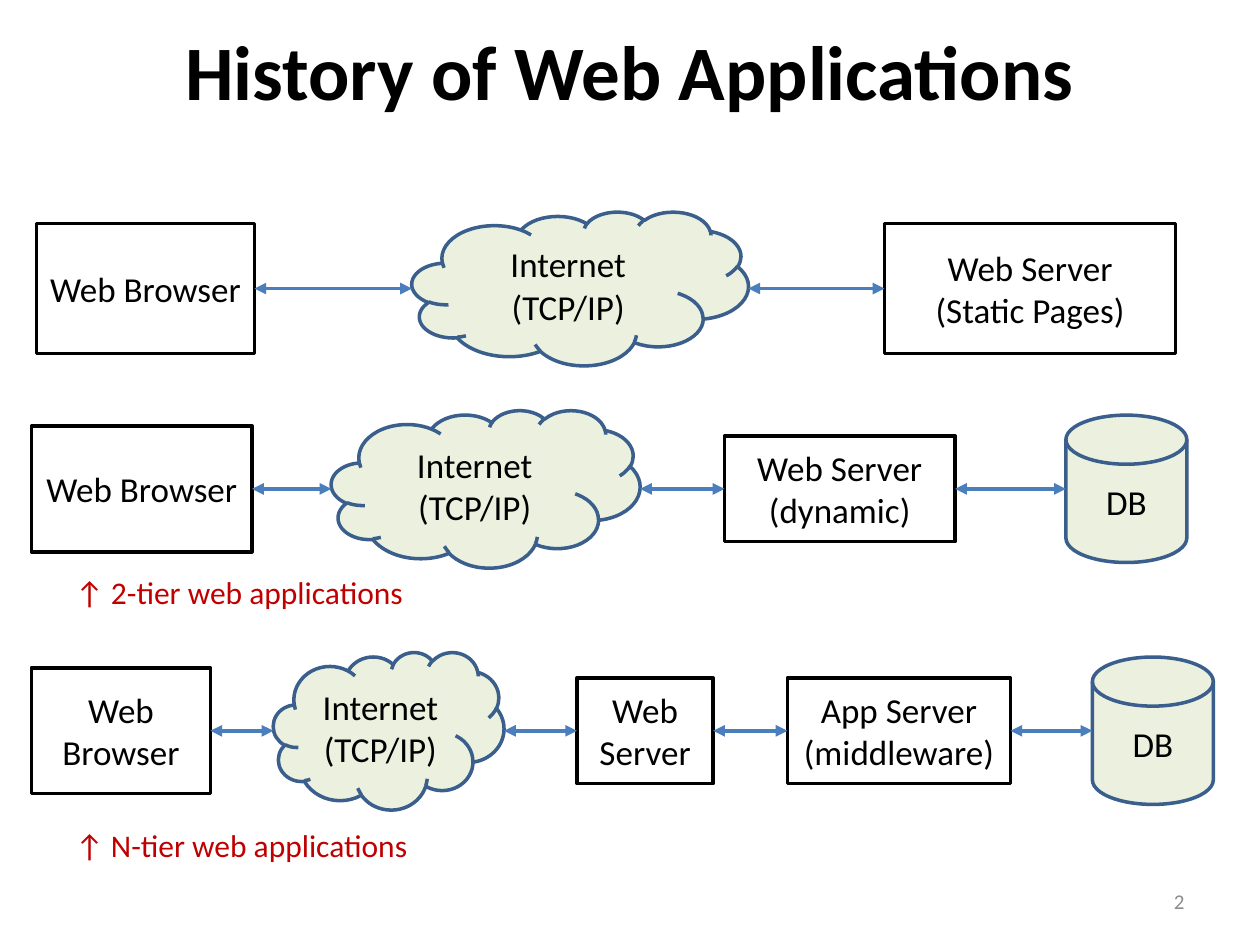
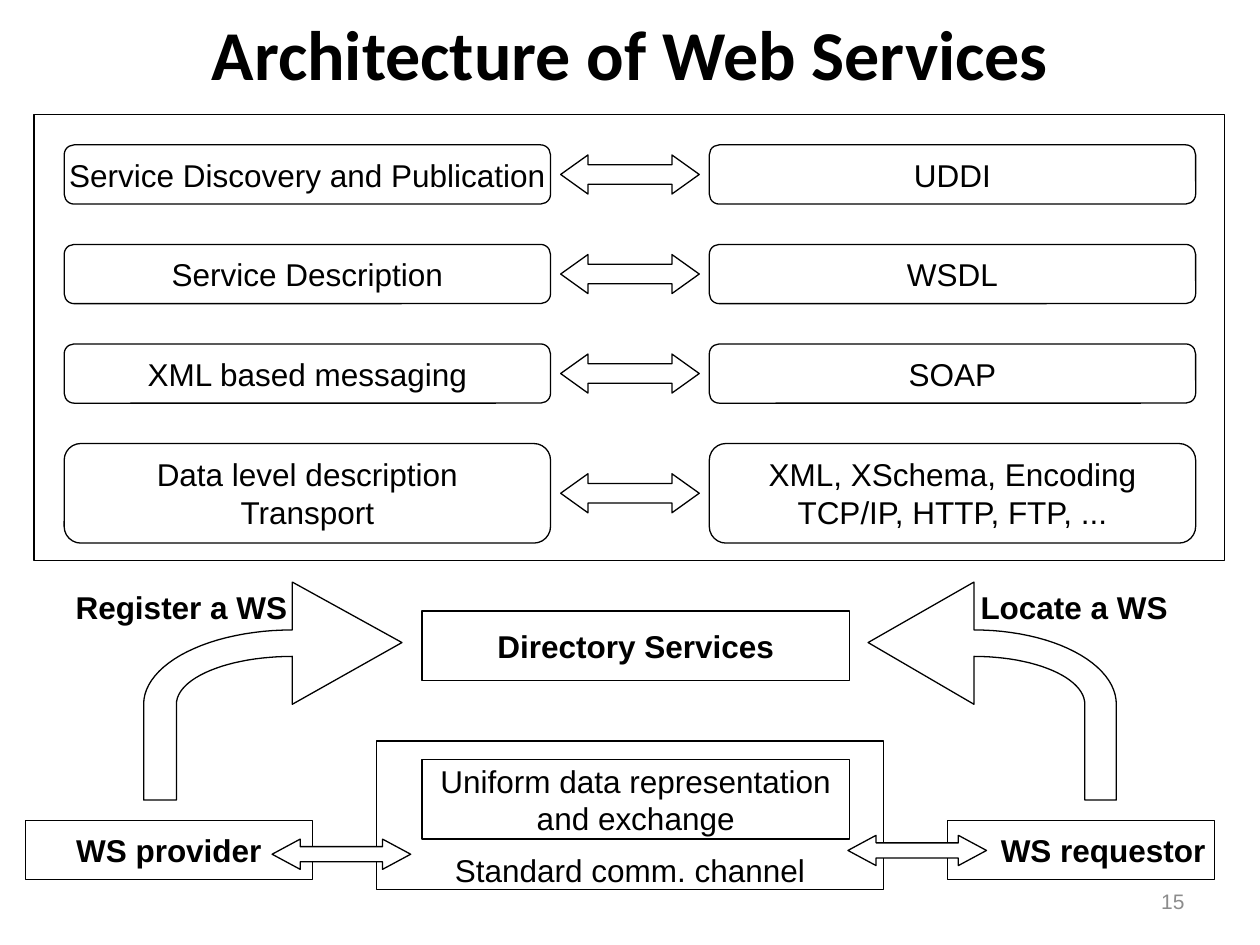
import math

from lxml import etree
from pptx import Presentation
from pptx.dml.color import RGBColor
from pptx.enum.shapes import MSO_CONNECTOR, MSO_SHAPE
from pptx.enum.text import MSO_ANCHOR, MSO_AUTO_SIZE, PP_ALIGN
from pptx.oxml.ns import qn
from pptx.util import Inches, Pt

RECT = MSO_SHAPE.RECTANGLE
ROUND = MSO_SHAPE.ROUNDED_RECTANGLE
CLOUD = MSO_SHAPE.CLOUD
DISK = MSO_SHAPE.FLOWCHART_MAGNETIC_DISK
DOUBLE_ARROW = MSO_SHAPE.LEFT_RIGHT_ARROW
STRAIGHT = MSO_CONNECTOR.STRAIGHT
LEFT, CENTER, RIGHT = PP_ALIGN.LEFT, PP_ALIGN.CENTER, PP_ALIGN.RIGHT
TOP, MIDDLE, BOTTOM = MSO_ANCHOR.TOP, MSO_ANCHOR.MIDDLE, MSO_ANCHOR.BOTTOM

BLACK, WHITE = "000000", "FFFFFF"
PALE_GREEN, OUTLINE_BLUE, ARROW_BLUE = "EBF1DE", "3A5F8C", "4B7EBC"
RED, GREY = "C00000", "8C8C8C"
TITLE_ONLY = 5

# Each tier row: vertical centre, then (shape, text, left, width, height)
TIER_ROWS = [
    (2.29, [(RECT, "Web Browser", 0.29, 1.73, 1.03),
            (CLOUD, "Internet\n(TCP/IP)", 3.27, 2.67, 1.22),
            (RECT, "Web Server\n(Static Pages)", 7.02, 2.31, 1.03)]),
    (3.88, [(RECT, "Web Browser", 0.25, 1.75, 1),
            (CLOUD, "Internet\n(TCP/IP)", 2.63, 2.45, 1.25),
            (RECT, "Web Server\n(dynamic)", 5.75, 1.83, 0.84),
            (DISK, "DB", 8.46, 0.96, 1.17)]),
    (5.8, [(RECT, "Web Browser", 0.25, 1.42, 1),
           (CLOUD, "Internet\n(TCP/IP)", 2.17, 1.83, 1.25),
           (RECT, "Web Server", 4.58, 1.08, 0.84),
           (RECT, "App Server (middleware)", 6.25, 1.77, 0.84),
           (DISK, "DB", 8.67, 0.96, 1.17)]),
]

LAYERS = [
    ("Service Discovery and Publication", "UDDI", 0.47),
    ("Service Description", "WSDL", 0.47),
    ("XML based messaging", "SOAP", 0.47),
    ("Data level description\nTransport",
     "XML, XSchema, Encoding\nTCP/IP, HTTP, FTP, ...", 0.79),
]


def color(value):
    return RGBColor.from_string(value)


def write_text(frame, text, size=18, font="Arial", ink=BLACK, bold=False,
               align=CENTER, anchor=MIDDLE, wrap=True):
    """Fill a text frame, one paragraph per line of text."""
    frame.auto_size = MSO_AUTO_SIZE.NONE
    frame.word_wrap = wrap
    frame.vertical_anchor = anchor
    for index, line in enumerate(text.split("\n")):
        para = frame.paragraphs[0] if index == 0 else frame.add_paragraph()
        para.alignment = align
        span = para.add_run()
        span.text = line
        span.font.size = Pt(size)
        span.font.name = font
        span.font.bold = bold
        span.font.color.rgb = color(ink)


def style_shape(shape, fill, line, weight):
    shape.shadow.inherit = False
    if fill:
        shape.fill.solid()
        shape.fill.fore_color.rgb = color(fill)
    else:
        shape.fill.background()
    shape.line.color.rgb = color(line)
    shape.line.width = Pt(weight)


def add_box(page, kind, left, top, width, height, text="", fill=None,
            line=BLACK, weight=0.75, **text_format):
    box = page.shapes.add_shape(kind, Inches(left), Inches(top),
                                Inches(width), Inches(height))
    style_shape(box, fill, line, weight)
    if text:
        write_text(box.text_frame, text, **text_format)
    return box


def add_label(page, left, top, width, text, **text_format):
    label = page.shapes.add_textbox(Inches(left), Inches(top),
                                    Inches(width), Inches(0.4))
    write_text(label.text_frame, text, **text_format)


def add_page(deck, title, top, height, size, number, number_font):
    """Title-only page with a bold centred title and a page number."""
    page = deck.slides.add_slide(deck.slide_layouts[TITLE_ONLY])
    heading = page.shapes.title
    heading.left, heading.top = Inches(0), Inches(top)
    heading.width, heading.height = deck.slide_width, Inches(height)
    write_text(heading.text_frame, title, size=size, font="Calibri", bold=True)
    add_label(page, 7.17, 6.95, 2.33, number, size=12, font=number_font,
              ink=GREY, align=RIGHT)
    return page


def add_link(page, start, end, y):
    """Horizontal line with an arrowhead at both ends."""
    link = page.shapes.add_connector(STRAIGHT, Inches(start), Inches(y),
                                     Inches(end), Inches(y))
    link.line.color.rgb = color(ARROW_BLUE)
    link.line.width = Pt(2.25)
    outline = link.line._get_or_add_ln()
    for tag in ("a:headEnd", "a:tailEnd"):
        etree.SubElement(outline, qn(tag), type="triangle")
    etree.SubElement(link._element.spPr, qn("a:effectLst"))


def add_tier_row(page, middle, nodes):
    previous_right = None
    for kind, text, left, width, height in nodes:
        plain = kind == RECT
        add_box(page, kind, left, middle - height / 2, width, height, text,
                fill=WHITE if plain else PALE_GREEN,
                line=BLACK if plain else OUTLINE_BLUE, weight=2,
                size=20, font="Calibri")
        if previous_right is not None:
            add_link(page, previous_right, left, middle)
        previous_right = left + width


def add_double_arrow(page, left, top, height, head):
    arrow = add_box(page, DOUBLE_ARROW, left, top, 1.1, height, fill=WHITE)
    arrow.adjustments[1] = head


def quarter_arc(neck, side, top, bottom, steps=24):
    """Points of a quarter ellipse from (neck, top) to (side, bottom)."""
    angles = [math.pi / 2 * step / steps for step in range(steps + 1)]
    return [(neck + (side - neck) * math.sin(angle),
             bottom - (bottom - top) * math.cos(angle)) for angle in angles]


def add_curved_arrow(page, tip, neck, outer, inner):
    """Arrow that rises from y 6.35 and bends towards the tip."""
    points = [(tip, 5.1), (neck, 4.62)]
    points += quarter_arc(neck, outer, 5, 5.59)
    points += [(outer, 6.35), (inner, 6.35)]
    points += reversed(quarter_arc(neck, inner, 5.21, 5.59))
    points.append((neck, 5.59))
    corners = [(Inches(x), Inches(y)) for x, y in points]
    builder = page.shapes.build_freeform(*corners[0])
    builder.add_line_segments(corners[1:], close=True)
    style_shape(builder.convert_to_shape(), None, BLACK, 0.75)


def build_history(deck):
    page = add_page(deck, "History of Web Applications", 0.08, 0.95, 44,
                    "2", "Calibri")
    for middle, nodes in TIER_ROWS:
        add_tier_row(page, middle, nodes)
    for top, tiers in ((4.5, "2"), (6.51, "N")):
        add_label(page, 0.5, top, 4.17, f"↑ {tiers}-tier web applications",
                  font="Calibri", ink=RED, align=LEFT, anchor=TOP)


def build_architecture(deck):
    page = add_page(deck, "Architecture of Web Services", 0, 0.84, 40,
                    "15", "Arial")

    # Service layers and the standards behind them
    add_box(page, RECT, 0.27, 0.91, 9.45, 3.54)
    for index, (layer, standard, height) in enumerate(LAYERS):
        top = 1.15 + 0.79 * index
        for left, text in ((0.51, layer), (5.63, standard)):
            add_box(page, ROUND, left, top, 3.86, height, text,
                    fill=WHITE, wrap=False)
        add_double_arrow(page, 4.45, top + (height - 0.31) / 2, 0.31, 0.7)

    # Directory and communication channel
    add_box(page, RECT, 3.35, 4.85, 3.39, 0.55, "Directory Services",
            bold=True, wrap=False)
    channel = add_box(page, RECT, 2.99, 5.88, 4.02, 1.18,
                      "Standard comm. channel", anchor=BOTTOM, wrap=False)
    channel.text_frame.margin_bottom = Inches(0.01)
    add_box(page, RECT, 3.35, 6.03, 3.39, 0.63,
            "Uniform data representation\nand exchange", wrap=False)

    # Provider and requestor
    add_box(page, RECT, 0.2, 6.51, 2.28, 0.47, "WS provider",
            bold=True, wrap=False)
    requestor = add_box(page, RECT, 7.52, 6.51, 2.12, 0.47, "WS requestor",
                        bold=True, wrap=False)
    requestor.text_frame.margin_left = Inches(0.4)
    requestor.text_frame.margin_right = Inches(0.05)
    add_double_arrow(page, 2.16, 6.66, 0.24, 0.93)
    add_double_arrow(page, 6.73, 6.63, 0.24, 0.93)

    # Register and locate
    add_curved_arrow(page, tip=3.19, neck=2.32, outer=1.14, inner=1.4)
    add_curved_arrow(page, tip=6.89, neck=7.73, outer=8.86, inner=8.61)
    for left, width, text in ((0.5, 1.88, "Register a WS"),
                              (7.68, 1.69, "Locate a WS")):
        add_label(page, left, 4.62, width, text, bold=True, anchor=TOP,
                  wrap=False)


def main():
    deck = Presentation()
    deck.slide_width, deck.slide_height = Inches(10), Inches(7.5)
    build_history(deck)
    build_architecture(deck)
    deck.save("out.pptx")


if __name__ == "__main__":
    main()
